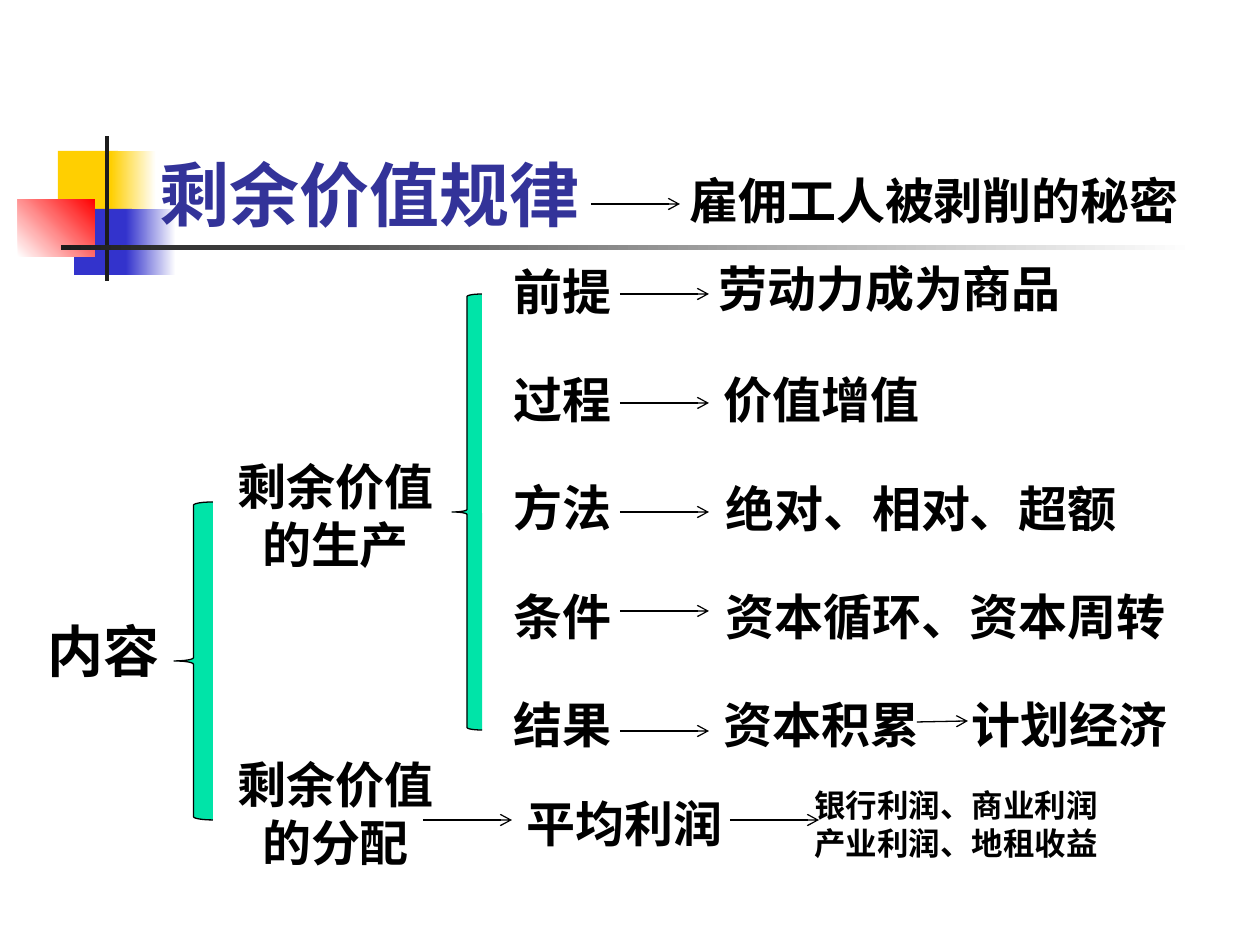
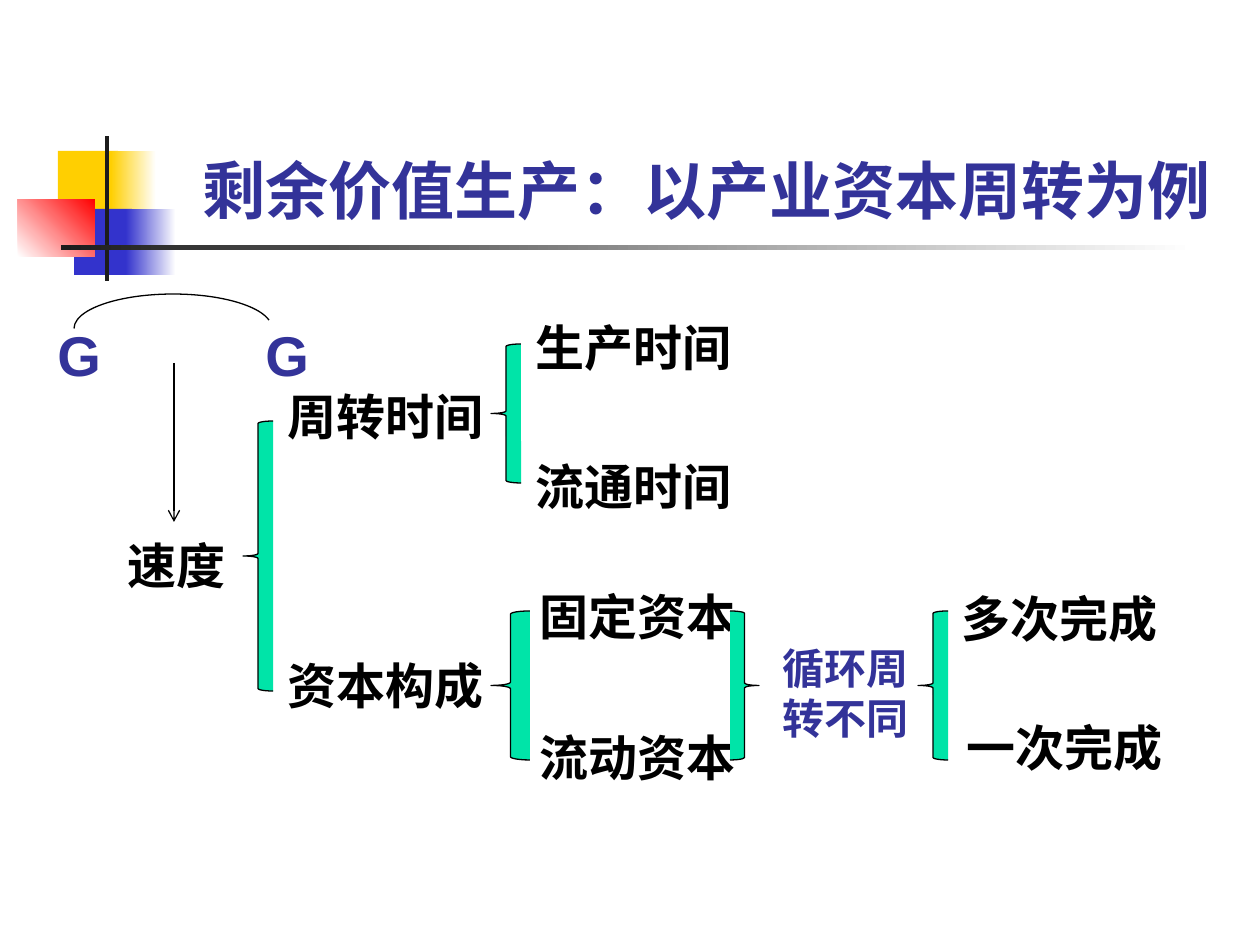
"""Build two slides on the law of surplus value."""
from dataclasses import dataclass

from lxml import etree
from pptx import Presentation
from pptx import util as u
from pptx.dml.color import RGBColor
from pptx.enum import shapes, text
from pptx.oxml.ns import qn

Kind = shapes.MSO_SHAPE


@dataclass(frozen=True)
class Theme:
    ink: str = "000000"
    navy: str = "333399"
    mint: str = "00E4A8"
    gold: str = "FFCF01"
    blue: str = "3333CC"
    red: str = "FF0000"
    dark: str = "1C1C1C"
    white: str = "FFFFFF"
    face: str = "Arial"
    wide: str = "Noto Sans CJK SC"
    head: int = 40
    lead: int = 36
    root: int = 32
    body: int = 28
    note: int = 24
    small: int = 18
    lines: float = 1.2
    rule: float = 0.75


T = Theme()


def px(n):
    return u.Emu(round(n * 914400 / 126))


def box(*nums):
    return [px(n) for n in nums]


def rgb(code):
    return RGBColor.from_string(code)


def write(slide, words, x, y, size=T.body, color=T.ink, face=T.face,
          align=text.PP_ALIGN.LEFT, width=None):
    rows = words.split("\n")
    unit = size * 1.75
    width = width or max(map(len, rows)) * unit + 25
    high = len(rows) * unit * T.lines + 13
    frame = slide.shapes.add_textbox(*box(x, y, width, high)).text_frame
    frame.word_wrap = False
    frame.auto_size = text.MSO_AUTO_SIZE.SHAPE_TO_FIT_TEXT
    frame.text = words
    for para in frame.paragraphs:
        para.alignment = align
        para.line_spacing = u.Pt(size * T.lines)
        for run in para.runs:
            font = run.font
            font.name, font.size, font.bold = face, u.Pt(size), True
            font.color.rgb = rgb(color)
            etree.SubElement(font._element, qn("a:ea"), typeface=T.face)


def block(slide, place, color, fade=None, angle=0):
    shape = slide.shapes.add_shape(Kind.RECTANGLE, *box(*place))
    shape.shadow.inherit = False
    shape.line.fill.background()
    if fade is None:
        shape.fill.solid()
        shape.fill.fore_color.rgb = rgb(color)
    else:
        shape.fill.gradient()
        shape.fill.gradient_angle = angle
        for stop, code in zip(shape.fill.gradient_stops, (color, fade)):
            stop.color.rgb = rgb(code)


def trace(shape):
    shape.line.color.rgb = rgb(T.ink)
    shape.line.width = u.Pt(T.rule)


def brace(slide, x, y, width, high, kind=Kind.LEFT_BRACE):
    shape = slide.shapes.add_shape(kind, *box(x, y, width, high))
    shape.shadow.inherit = False
    shape.fill.solid()
    shape.fill.fore_color.rgb = rgb(T.mint)
    trace(shape)


def arch(slide, x, y, width, high):
    shape = slide.shapes.add_shape(Kind.ARC, *box(x, y, width, high))
    shape.shadow.inherit = False
    shape.fill.background()
    shape.adjustments[0] = 180 * 0.6
    shape.adjustments[1] = 355 * 0.6
    trace(shape)


def arrow(slide, x, y, dx=89, dy=0):
    line = slide.shapes.add_connector(
        shapes.MSO_CONNECTOR.STRAIGHT, *box(x, y, x + dx, y + dy))
    trace(line)
    props = line._element.spPr
    etree.SubElement(props.find(qn("a:ln")), qn("a:tailEnd"), type="arrow")
    etree.SubElement(props, qn("a:effectLst"))


def start(deck):
    slide = deck.slides.add_slide(deck.slide_layouts[6])
    block(slide, (58, 151, 60, 66), T.gold)
    block(slide, (111, 151, 45, 66), T.gold, T.white)
    block(slide, (74, 209, 58, 66), T.blue)
    block(slide, (126, 209, 50, 66), T.blue, T.white)
    block(slide, (18, 199, 77, 58), T.white, T.red, 45)
    block(slide, (105, 136, 4, 145), T.dark)
    block(slide, (61, 245, 1134, 5), T.dark, T.white)
    return slide


def title(slide, words, x, **form):
    write(slide, words, x, 145, color=T.navy, **form)


def law(deck):
    slide = start(deck)
    title(slide, "剩余价值规律", 147, size=T.head)
    write(slide, "雇佣工人被剥削的秘密", 677, 164)
    arrow(slide, 591, 204)

    write(slide, "内容", 35, 610, size=T.root)
    brace(slide, 174, 502, 39, 318)
    for words, y in (("剩余价值\n的生产", 450), ("剩余价值\n的分配", 748)):
        write(slide, words, 225, y, align=text.PP_ALIGN.CENTER)

    brace(slide, 452, 294, 30, 436)
    parts = (("前提", "劳动力成为商品", 706, 252, 294),
             ("过程", "价值增值", 711, 363, 403),
             ("方法", "绝对、相对、超额", 713, 472, 512),
             ("条件", "资本循环、资本周转", 713, 580, 611),
             ("结果", "资本积累", 711, 688, 731))
    for i, (name, gist, x, y, mid) in enumerate(parts):
        write(slide, name, 501, 255 + round(108.25 * i))
        write(slide, gist, x, y)
        arrow(slide, 620, mid)
    write(slide, "计划经济", 959, 688)
    arrow(slide, 917, 722, 51, -1)

    write(slide, "平均利润", 514, 787, width=232)
    write(slide, "银行利润、商业利润\n产业利润、地租收益", 802, 780,
          size=T.small, width=315)
    for x in (423, 730):
        arrow(slide, x, 820)


def cycle(deck):
    slide = start(deck)
    title(slide, "剩余价值生产：以产业资本周转为例", 190,
          size=T.lead, face=T.wide)
    for x in (45, 253):
        write(slide, "G", x, 314, size=T.root, color=T.navy, width=68)
    arch(slide, 74, 294, 198, 69)
    arrow(slide, 174, 363, 0, 159)

    labels = (("速度", 115, 529),
              ("周转时间", 275, 380), ("资本构成", 275, 649),
              ("生产时间", 523, 311), ("流通时间", 523, 450),
              ("固定资本", 527, 580), ("流动资本", 527, 721),
              ("多次完成", 949, 582), ("一次完成", 954, 711))
    for label in labels:
        write(slide, *label)
    write(slide, "循环周\n转不同", 770, 636, size=T.note, color=T.navy)

    brace(slide, 243, 421, 30, 270)
    brace(slide, 491, 344, 30, 139)
    brace(slide, 491, 611, 39, 149)
    brace(slide, 730, 611, 29, 149, Kind.RIGHT_BRACE)
    brace(slide, 918, 611, 30, 149)


def main():
    deck = Presentation()
    deck.slide_width, deck.slide_height = box(1260, 945)
    law(deck)
    cycle(deck)
    deck.save("out.pptx")


if __name__ == "__main__":
    main()
